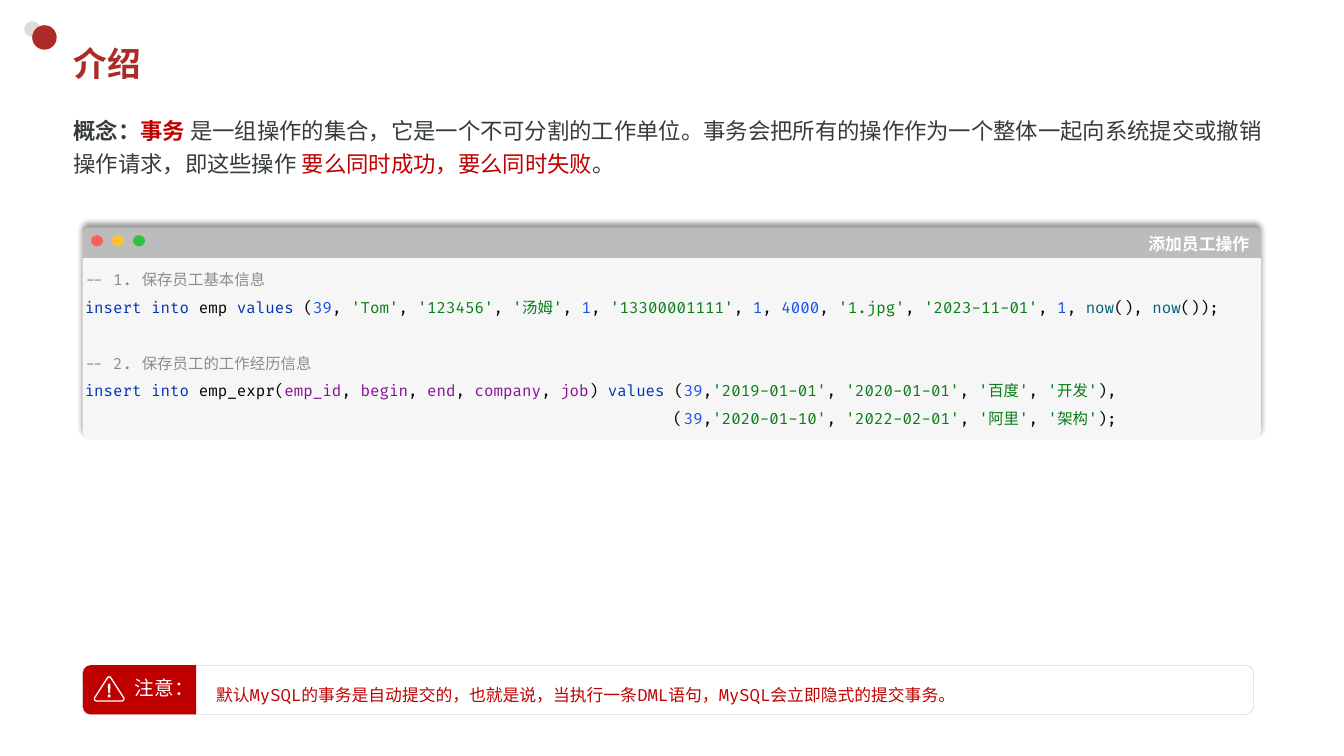
from lxml import etree
from pptx import Presentation
from pptx.dml.color import RGBColor as RGB
from pptx.enum.shapes import MSO_SHAPE as SHAPE
from pptx.enum.text import MSO_ANCHOR as ANCHOR, PP_ALIGN as ALIGN
from pptx.oxml.ns import qn
from pptx.util import Pt

COLORS = {
    "dot": "DADDDC", "brand": "AD2B26", "red": "C00000", "ink": "363C3B",
    "white": "FFFFFF", "panel": "F6F6F6", "bar": "BCBCBC", "border": "BFBFBF",
    "close": "FE5F56", "minimize": "FFC12E", "zoom": "2FC141", "shadow": "000000",
    "comment": "8C8C8C", "keyword": "0033B3", "table": "000000", "symbol": "080808",
    "number": "1750EB", "string": "067D17", "function": "00627A", "column": "871094",
}
CJK, MONO, CODE = "Noto Sans CJK JP", "Courier New", "Fira Code"
TOKEN_KINDS = {
    "keyword": ("insert into", "values"),
    "table": ("emp", "emp_expr"),
    "function": ("now",),
    "column": ("emp_id", "begin", "end", "company", "job"),
}
CODE_LINES = [
    "-- 1. 保存员工基本信息",
    "insert into |emp |values |(|39|, |'Tom'|, |'123456'|, |'汤姆'|, |1|, |'13300001111'|, |1|, "
    "|4000|, |'1.jpg'|, |'2023-11-01'|, |1|, |now|(), |now|());",
    "",
    "-- 2. 保存员工的工作经历信息",
    "insert into |emp_expr|(|emp_id|, |begin|, |end|, |company|, |job|) |values |(|39|,"
    "|'2019-01-01'|, |'2020-01-01'|, |'百度'|, |'开发'|),",
    " " * 62 + "(|39|,|'2020-01-10'|, |'2022-02-01'|, |'阿里'|, |'架构'|);",
]
WARNING_HALVES = [
    [(0, 483), (1.2, 483.3), (1.9, 484.4), (11, 498.6), (10.9, 500), (9.9, 501), (9, 501.2)],
    [(0, 484.1), (0.8, 484.5), (10.1, 498.9), (10.1, 499.6), (9, 500.4)],
    [(0, 488.2), (0.9, 488.8), (0.95, 489.6), (0.6, 494.9), (0, 495.4)],
    [(0, 496), (0.8, 496.3), (1.1, 497.1), (0.8, 497.9), (0, 498.2)],
]


def token_kind(token):
    """Return the colour name for a piece of SQL."""
    if token.startswith("--"):
        return "comment"
    if token.startswith("'"):
        return "string"
    if token.isdigit():
        return "number"
    for kind, words in TOKEN_KINDS.items():
        if token.strip() in words:
            return kind
    return "symbol"


def color(name):
    """Return the named colour."""
    return RGB.from_string(COLORS[name])


class SlideBuilder:
    """Hold the style and the current slide, and add elements to it."""

    def __init__(self, page):
        """Keep the page to draw on."""
        self.page = page

    def paint(self, shape, fill=None, line=None):
        """Set the fill and outline of a shape."""
        shape.shadow.inherit = False
        if fill:
            shape.fill.solid()
            shape.fill.fore_color.rgb = color(fill)
        else:
            shape.fill.background()
        if line:
            shape.line.color.rgb = color(line)
            shape.line.width = Pt(0.25)
        else:
            shape.line.fill.background()
        return shape

    def shape(self, kind, at, fill=None, line=None, adjustments=(), rotation=0):
        """Add a preset shape."""
        shape = self.page.shapes.add_shape(kind, *map(Pt, at))
        for index, value in enumerate(adjustments):
            shape.adjustments[index] = value
        shape.rotation = rotation
        return self.paint(shape, fill, line)

    def cast_shadow(self, shape):
        """Give a shape a soft shadow above it."""
        effects = shape.element.spPr.find(qn("a:effectLst"))
        shadow = etree.SubElement(effects, qn("a:outerShdw"), blurRad=str(Pt(4)),
                                  dist=str(Pt(3)), dir="16200000", algn="b", rotWithShape="0")
        tint = etree.SubElement(shadow, qn("a:srgbClr"), val=COLORS["shadow"])
        etree.SubElement(tint, qn("a:alpha"), val="40000")

    def fill_text(self, shape, lines, size, latin, asian, insets=(7.2, 3.6, 7.2, 3.6),
                  anchor=ANCHOR.TOP, align=ALIGN.LEFT, spacing=1.0, wrap=True):
        """Set lines of (text, colour, bold) spans as one paragraph."""
        frame = shape.text_frame
        sides = ("margin_left", "margin_top", "margin_right", "margin_bottom")
        frame_format = dict(zip(sides, map(Pt, insets)), vertical_anchor=anchor, word_wrap=wrap)
        for name, value in frame_format.items():
            setattr(frame, name, value)
        para = frame.paragraphs[0]
        para_format = {"alignment": align, "line_spacing": spacing}
        for name, value in para_format.items():
            setattr(para, name, value)
        para.font.size = Pt(size)
        for number, line in enumerate(lines):
            if number:
                para.add_line_break()
            for text, tint, bold in line:
                span = para.add_run()
                span.text = text
                span_format = {"name": latin, "size": Pt(size), "bold": bold}
                for name, value in span_format.items():
                    setattr(span.font, name, value)
                span.font.color.rgb = color(tint)
                span.font._element.find(qn("a:latin")).addnext(
                    etree.Element(qn("a:ea"), typeface=asian))
        for mark in para._p.findall(qn("a:br")):
            properties = etree.SubElement(mark, qn("a:rPr"), sz=str(size * 100))
            for tag, face in (("a:latin", latin), ("a:ea", asian)):
                etree.SubElement(properties, qn(tag), typeface=face)

    def text(self, at, lines, **style):
        """Add a text box."""
        self.fill_text(self.page.shapes.add_textbox(*map(Pt, at)), lines, **style)

    def warning_icon(self, center):
        """Draw the warning sign from mirrored half outlines."""
        outlines = [[(Pt(center + x), Pt(y)) for x, y in
                     half + [(-x, y) for x, y in reversed(half)]] for half in WARNING_HALVES]
        builder = self.page.shapes.build_freeform(*outlines[0][0], scale=1.0)
        for number, outline in enumerate(outlines):
            if number:
                builder.move_to(*outline[0])
            builder.add_line_segments(outline[1:], close=True)
        self.paint(builder.convert_to_shape(), "white")


def main():
    """Build the slide and save it."""
    deck = Presentation()
    deck.slide_width, deck.slide_height = Pt(960), Pt(540)
    slide = SlideBuilder(deck.slides.add_slide(deck.slide_layouts[6]))

    slide.shape(SHAPE.OVAL, (17.3, 15.1, 11.5, 11.5), "dot")
    slide.shape(SHAPE.OVAL, (23, 18, 17.5, 17.5), "brand")
    slide.text((45.4, 75.6, 871.2, 67), [[
        ("概念：", "ink", True),
        ("事务 ", "red", True),
        ("是一组操作的集合，它是一个不可分割的工作单位。事务会把所有的操作作为一个整体一起"
         "向系统提交或撤销操作请求，即这些操作 ", "ink", False),
        ("要么同时成功，要么同时失败", "red", False),
        ("。", "ink", False),
    ]], size=16, latin=MONO, asian=CJK, spacing=1.23)
    slide.text((45.4, 26.6, 846, 37.4), [[("介绍", "brand", True)]],
               size=24, latin=MONO, asian=CJK, anchor=ANCHOR.MIDDLE)

    panel = slide.shape(SHAPE.ROUNDED_RECTANGLE, (59, 162.7, 841.7, 150.5), "panel",
                        adjustments=[0.036])
    slide.cast_shadow(panel)
    code = [[(token, token_kind(token), False) for token in line.split("|") if token]
            for line in CODE_LINES]
    slide.fill_text(panel, code, size=11, latin=CODE, asian=CODE,
                    insets=(0, 22.3, 0, 0), spacing=1.5)
    bar = slide.shape(SHAPE.ROUND_2_SAME_RECTANGLE, (59, 162.7, 841.7, 21.6), "bar",
                      adjustments=[0.2, 0])
    slide.fill_text(bar, [[("添加员工操作", "white", True)]], size=12, latin=CODE, asian=CODE,
                    anchor=ANCHOR.MIDDLE, align=ALIGN.RIGHT)
    for index, button in enumerate(("close", "minimize", "zoom")):
        slide.shape(SHAPE.OVAL, (65 + 15 * index, 168, 8.6, 8), button)

    note = slide.shape(SHAPE.ROUNDED_RECTANGLE, (59, 475.2, 836.6, 35.3), line="border")
    message = "默认MySQL的事务是自动提交的，也就是说，当执行一条DML语句，MySQL会立即隐式的提交事务。"
    slide.fill_text(note, [[(message, "red", False)]], size=12, latin=CODE, asian=CODE,
                    insets=(93.6, 3.6, 7.2, 3.6), anchor=ANCHOR.MIDDLE, spacing=1.5)
    slide.shape(SHAPE.ROUND_2_SAME_RECTANGLE, (82, 452.2, 35.3, 81), "red", rotation=270)
    slide.warning_icon(78)
    slide.text((89.3, 479.5, 50.4, 24.5), [[("注意：", "white", False)]],
               size=14, latin=CJK, asian=CJK, wrap=False)
    deck.save("out.pptx")


if __name__ == "__main__":
    main()
